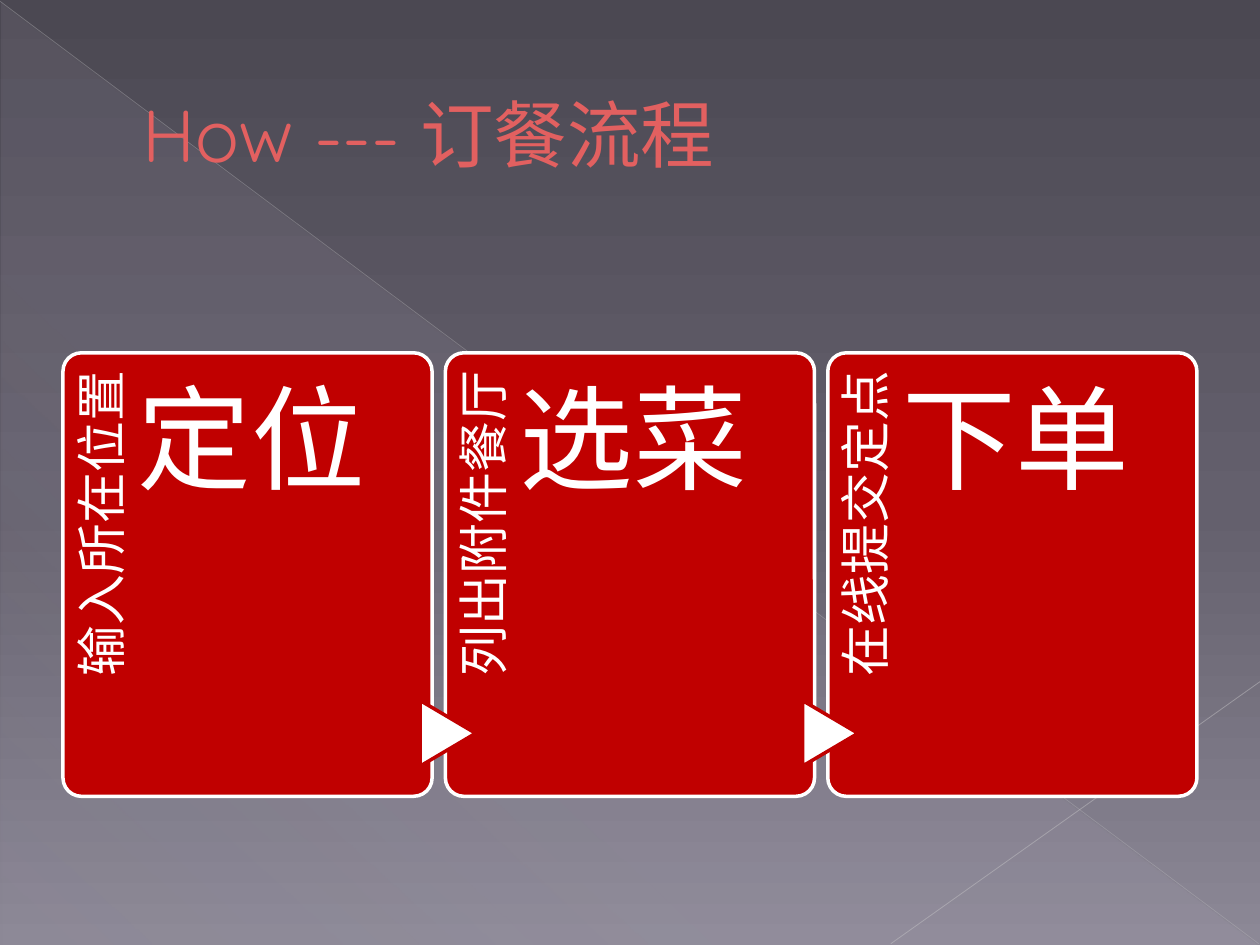
from dataclasses import dataclass

from pptx import Presentation
from pptx.dml.color import RGBColor as RGB
from pptx.enum.shapes import MSO_CONNECTOR as CONN, MSO_SHAPE as SHAPE
from pptx.enum.text import MSO_ANCHOR as ANCHOR, MSO_AUTO_SIZE as AUTO, PP_ALIGN as ALIGN
from pptx.oxml.ns import qn
from pptx.util import Inches, Pt
from lxml.etree import SubElement


@dataclass(frozen=True)
class Theme:
    font: str = "Quicksand"
    title: str = "E26060"
    title_edge: str = "850000"
    card: str = "C00000"
    light: str = "FFFFFF"
    veil: str = "C9C2D1"
    upper_line: str = "C0BFC2"
    lower_line: str = "C7C6C8"
    sky: tuple = ((0, "4B4852", 100), (54, "64606D", 100), (100, "8C8896", 100))
    title_size: float = 42
    headline_size: float = 65
    caption_size: float = 29


def add_color(parent, color, alpha=100):
    clr = SubElement(parent, qn("a:srgbClr"), val=color)
    if alpha < 100:
        SubElement(clr, qn("a:alpha"), val=str(alpha * 1000))


def paint_gradient(fill, owner, stops, angle):
    fill.gradient()
    grad = owner.find(".//" + qn("a:gradFill"))
    for child in list(grad):
        grad.remove(child)
    stop_list = SubElement(grad, qn("a:gsLst"))
    for pos, color, alpha in stops:
        add_color(SubElement(stop_list, qn("a:gs"), pos=str(pos * 1000)), color, alpha)
    SubElement(grad, qn("a:lin"), ang=str(angle * 60000), scaled="0")


def write(tf, text, *, font, size, color, align=ALIGN.LEFT, anchor=ANCHOR.TOP,
          insets=(0.1, 0.05, 0.1, 0.05), spacing=None):
    tf.word_wrap = True
    tf.auto_size = AUTO.NONE
    tf.vertical_anchor = anchor
    tf.margin_left, tf.margin_top, tf.margin_right, tf.margin_bottom = map(Inches, insets)
    p = tf.paragraphs[0]
    p.alignment = align
    p.line_spacing = spacing
    r = p.add_run()
    r.text = text
    r.font.name = font
    r.font.size = Pt(size)
    r.font.color.rgb = RGB.from_string(color)
    return p, r


class SlideBuilder:
    """Draws styled elements on one slide."""

    def __init__(self, prs, theme):
        self.theme = theme
        self.s = prs.slides.add_slide(prs.slide_layouts[5])
        paint_gradient(self.s.background.fill, self.s.element, theme.sky, 90)

    def shape(self, kind, box, fill=None, line=None, rotation=0):
        sp = self.s.shapes.add_shape(kind, *map(Inches, box))
        sp.shadow.inherit = False
        sp.rotation = rotation
        if fill:
            sp.fill.solid()
            sp.fill.fore_color.rgb = RGB.from_string(fill)
        if line:
            sp.line.color.rgb = RGB.from_string(line)
            sp.line.width = Pt(2)
        else:
            sp.line.fill.background()
        return sp

    def veil(self, box):
        sp = self.shape(SHAPE.RIGHT_TRIANGLE, box)
        stops = [(pos, self.theme.veil, alpha) for pos, alpha in ((0, 10), (70, 8), (100, 1))]
        paint_gradient(sp.fill, sp.element, stops, 133)

    def line(self, start, end, color, width, alpha):
        cx = self.s.shapes.add_connector(CONN.STRAIGHT, *map(Inches, (*start, *end)))
        cx.line.color.rgb = RGB.from_string(color)
        cx.line.width = Pt(width)
        clr = cx.element.spPr.find(".//" + qn("a:srgbClr"))
        SubElement(clr, qn("a:alpha"), val=str(alpha * 1000))
        SubElement(cx.element.spPr, qn("a:effectLst"))

    def title(self, text, box, indent):
        t = self.theme
        sp = self.s.shapes.title
        sp.left, sp.top, sp.width, sp.height = map(Inches, box)
        p, r = write(sp.text_frame, text, font=t.font, size=t.title_size,
                     color=t.title, anchor=ANCHOR.MIDDLE)
        pPr = p._p.get_or_add_pPr()
        pPr.set("marL", str(Inches(indent)))
        pPr.set("indent", "0")
        rPr = r._r.get_or_add_rPr()
        edge = SubElement(rPr, qn("a:ln"), w=str(Pt(0.5)))
        add_color(SubElement(edge, qn("a:solidFill")), t.title_edge)
        rPr.insert(0, edge)
        self.s.shapes._spTree.append(sp.element)

    def text(self, text, box, size, rotation=0, **style):
        sp = self.s.shapes.add_textbox(*map(Inches, box))
        sp.rotation = rotation
        write(sp.text_frame, text, font=self.theme.font, size=size,
              color=self.theme.light, spacing=0.9, **style)

    def step(self, x, headline, caption, arrow):
        t = self.theme
        card = self.shape(SHAPE.ROUNDED_RECTANGLE, (x, 2.8, 2.93, 3.52), t.card, t.light)
        card.adjustments[0] = 0.05
        self.text(caption, (x - 1.15, 3.95, 2.88, 0.59), t.caption_size, 270,
                  align=ALIGN.RIGHT, insets=(0, 0.11, 0.14, 0))
        if arrow:
            self.shape(SHAPE.FLOWCHART_EXTRACT, (x - 0.24, 5.6, 0.52, 0.44),
                       t.light, t.card, 90)
        self.text(headline, (x + 0.59, 2.8, 2.18, 3.52), t.headline_size,
                  insets=(0, 0.24, 0, 0))


STEPS = [("定位", "输入所在位置"), ("选菜", "列出附件餐厅"), ("下单", "在线提交定点")]
STEP_LEFT, STEP_PITCH = 0.5, 3.035 

prs = Presentation()
prs.slide_width, prs.slide_height = Inches(10), Inches(7.5)
theme = Theme()
slide = SlideBuilder(prs, theme)
slide.veil((0.01, 0.02, 9.98, 7.48))
slide.line((0, 0.01), (9.99, 7.49), theme.upper_line, 0.39, 35)
slide.line((10, 5.41), (7.07, 7.49), theme.lower_line, 0.47, 45)
slide.title("How --- 订餐流程", (0.5, 0.29, 9, 1.53), 0.53)
for i, (headline, caption) in enumerate(STEPS):
    slide.step(STEP_LEFT + i * STEP_PITCH, headline, caption, arrow=i > 0)
prs.save("out.pptx")
